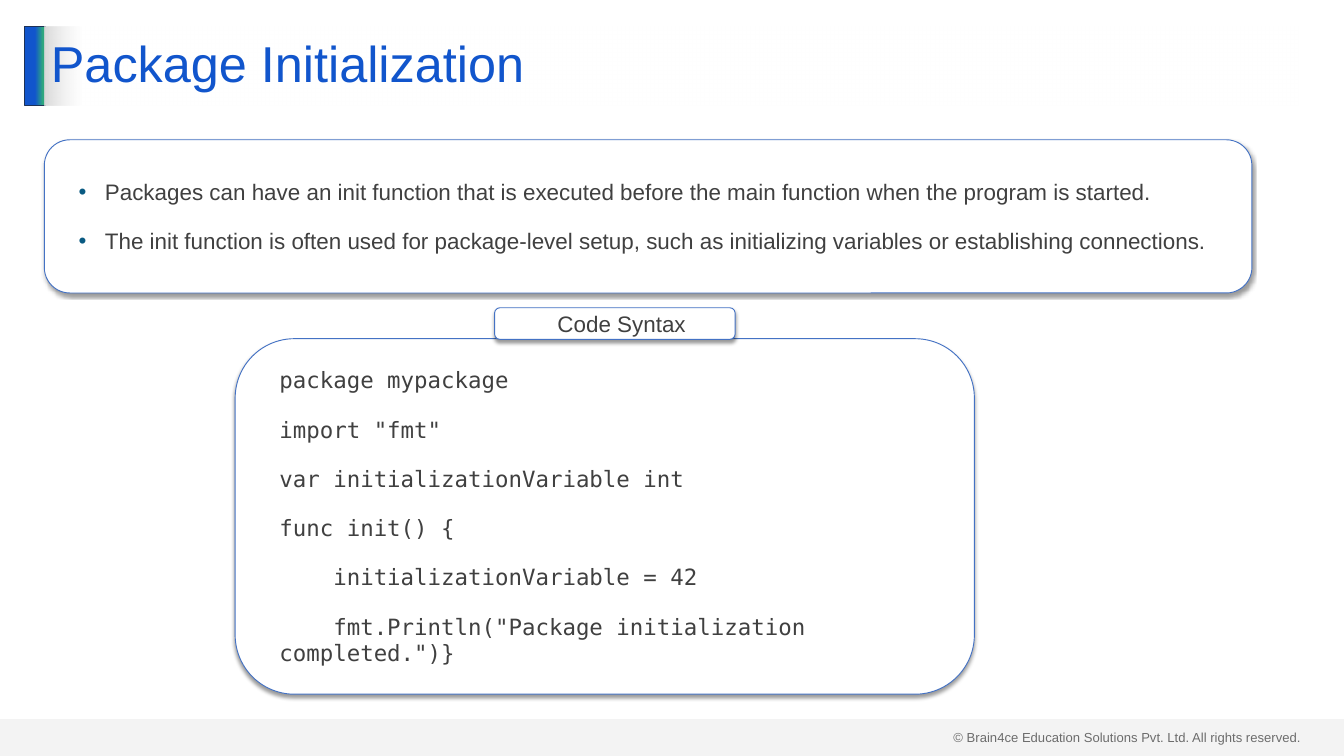
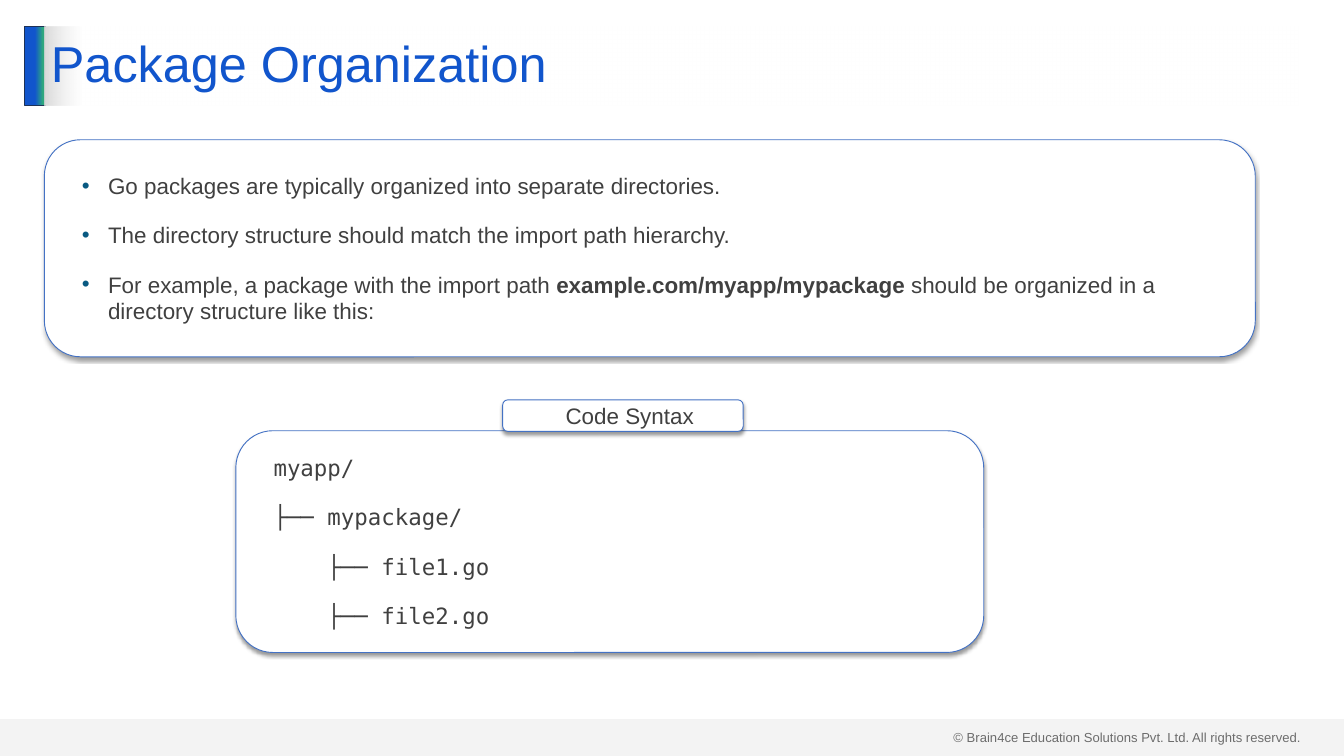
"""Build two slides on package initialization and organization in Go."""
from dataclasses import dataclass

from lxml.etree import SubElement
from pptx import Presentation
from pptx.dml.color import RGBColor
from pptx.enum.shapes import MSO_SHAPE
from pptx.enum.text import MSO_ANCHOR, PP_ALIGN
from pptx.oxml.ns import qn
from pptx.util import Emu, Pt

SLIDES = [
    {
        "title": "Package Initialization",
        "points": [
            ["Packages can have an init function that is executed before the main "
             "function when the program is started."],
            ["The init function is often used for package-level setup, such as "
             "initializing variables or establishing connections."],
        ],
        "points_size": (1797, 228),
        "code": [
            "package mypackage",
            'import "fmt"',
            "var initializationVariable int",
            "func init() {",
            "    initializationVariable = 42",
            '    fmt.Println("Package initialization completed.")}',
        ],
        "code_box": (350, 504, 1100, 529),
        "tab_left": 736,
    },
    {
        "title": "Package Organization",
        "points": [
            ["Go packages are typically organized into separate directories."],
            ["The directory structure should match the import path hierarchy."],
            ["For example, a package with the import path ",
             "example.com/myapp/mypackage",
             " should be organized in a directory structure like this:"],
        ],
        "points_size": (1802, 323),
        "code": [
            "myapp/",
            "├── mypackage/",
            "    ├── file1.go",
            "    ├── file2.go",
        ],
        "code_box": (351, 641, 1113, 330),
        "tab_left": 748,
    },
]
CODE_LABEL = "Code Syntax"
COPYRIGHT = "© Brain4ce Education Solutions Pvt. Ltd. All rights reserved."


@dataclass(frozen=True)
class Theme:
    """Colours, fonts and type sizes."""
    title: str = "1155CC"
    accent: str = "2EA87D"
    accent_edge: str = "1E3256"
    gray: str = "D9D9D9"
    paper: str = "FFFFFF"
    text: str = "404040"
    panel_edge: str = "4472C4"
    bullet: str = "095A82"
    shadow: str = "000000"
    sans: str = "Arial"
    mono: str = "DejaVu Sans Mono"
    title_size: int = 54
    body_size: int = 24
    footer_size: int = 14


THEME = Theme()
PX = 9144
WIDTH, HEIGHT = 2000, 1125
MARGIN, TITLE_TOP, TITLE_HEIGHT = 66, 39, 118
POINTS_TOP = 208
TAB_WIDTH, TAB_HEIGHT = 358, 47
BAND_HEIGHT = 55


def px(length):
    """Turn px into EMU."""
    return Emu(length * PX)


def add_color(parent, color, opacity=100):
    """Add an RGB colour element with an opacity in percent."""
    rgb = SubElement(parent, qn("a:srgbClr"), val=color)
    if opacity < 100:
        SubElement(rgb, qn("a:alpha"), val=str(opacity * 1000))


def add_block(slide, box, fill=None, edge=None, preset=MSO_SHAPE.RECTANGLE):
    """Add a flat shape with an optional solid fill and edge."""
    block = slide.shapes.add_shape(preset, *map(px, box))
    block.shadow.inherit = False
    if fill:
        block.fill.solid()
        block.fill.fore_color.rgb = RGBColor.from_string(fill)
    else:
        block.fill.background()
    if edge:
        block.line.color.rgb = RGBColor.from_string(edge)
        block.line.width = Pt(1)
    else:
        block.line.fill.background()
    return block


def set_gradient(block, stops):
    """Swap the empty fill for a left-to-right gradient."""
    properties = block.fill._xPr
    empty = properties.find(qn("a:noFill"))
    gradient = SubElement(properties, qn("a:gradFill"), rotWithShape="1")
    stop_list = SubElement(gradient, qn("a:gsLst"))
    for position, color, opacity in stops:
        stop = SubElement(stop_list, qn("a:gs"), pos=str(position * 1000))
        add_color(stop, color, opacity)
    SubElement(gradient, qn("a:lin"), ang="0", scaled="0")
    properties.replace(empty, gradient)


def style_runs(paragraph, size, color, font):
    """Give every run of a paragraph one type style."""
    for run in paragraph.runs:
        run.font.size = Pt(size)
        run.font.name = font
        run.font.color.rgb = RGBColor.from_string(color)


def add_panel(slide, box, lines, font=THEME.sans, align=PP_ALIGN.LEFT, bulleted=False):
    """Add a rounded, shadowed panel; every second run of a line is bold."""
    panel = add_block(slide, box, THEME.paper, THEME.panel_edge,
                      MSO_SHAPE.ROUNDED_RECTANGLE)
    effects = panel.fill._xPr.find(qn("a:effectLst"))
    shadow = SubElement(effects, qn("a:outerShdw"), blurRad=str(Pt(4)),
                        dist=str(Pt(3)), dir="5400000", rotWithShape="0")
    add_color(shadow, THEME.shadow, 40)

    frame = panel.text_frame
    frame.word_wrap = True
    frame.vertical_anchor = MSO_ANCHOR.MIDDLE
    frame.margin_left = frame.margin_right = px(20)
    frame.margin_top = frame.margin_bottom = px(10)
    for index, pieces in enumerate(lines):
        paragraph = frame.add_paragraph() if index else frame.paragraphs[0]
        paragraph.level = 1
        paragraph.alignment = align
        layout = paragraph._p.get_or_add_pPr()
        layout.set("marL", str(px(59 if bulleted else 20)))
        layout.set("indent", str(px(-39 if bulleted else 0)))
        if bulleted:
            add_color(SubElement(layout, qn("a:buClr")), THEME.bullet)
            SubElement(layout, qn("a:buFont"), typeface=THEME.sans)
            SubElement(layout, qn("a:buChar"), char="•")
        paragraph.space_before = Pt(12 if index else 0)
        paragraph.space_after = Pt(12 if index < len(lines) - 1 else 0)
        for place, piece in enumerate(pieces):
            run = paragraph.add_run()
            run.text = piece
            run.font.bold = place % 2 == 1
        style_runs(paragraph, THEME.body_size, THEME.text, font)


def add_frame(slide, title):
    """Add the footer, accent bar and title that all slides share."""
    footer = slide.shapes.add_textbox(*map(px, (1409, 1080, 541, 34))).text_frame
    footer.word_wrap = True
    footer.text = COPYRIGHT
    style_runs(footer.paragraphs[0], THEME.footer_size, THEME.text, THEME.sans)

    accent = add_block(slide, (37, TITLE_TOP, 30, TITLE_HEIGHT), edge=THEME.accent_edge)
    set_gradient(accent, [(51, THEME.title, 100), (90, THEME.accent, 100),
                          (100, THEME.accent, 100)])

    band = add_block(slide, (0, HEIGHT - BAND_HEIGHT, WIDTH, BAND_HEIGHT), THEME.gray)
    band_color = band.fill._xPr.find(qn("a:solidFill")).find(qn("a:srgbClr"))
    SubElement(band_color, qn("a:alpha"), val="29000")

    heading = add_block(slide, (MARGIN, TITLE_TOP, 1867, TITLE_HEIGHT))
    set_gradient(heading, [(0, THEME.gray, 100), (3, THEME.paper, 50),
                           (100, THEME.paper, 50)])
    frame = heading.text_frame
    frame.word_wrap = True
    frame.vertical_anchor = MSO_ANCHOR.MIDDLE
    frame.text = title
    paragraph = frame.paragraphs[0]
    paragraph.alignment = PP_ALIGN.LEFT
    paragraph.line_spacing = 0.9
    style_runs(paragraph, THEME.title_size, THEME.title, THEME.sans)


def main():
    """Build and save the presentation."""
    deck = Presentation()
    deck.slide_width, deck.slide_height = px(WIDTH), px(HEIGHT)
    for content in SLIDES:
        slide = deck.slides.add_slide(deck.slide_layouts[6])
        add_frame(slide, content["title"])
        code_box = content["code_box"]
        add_panel(slide, code_box, [[line] for line in content["code"]], THEME.mono)
        tab_top = code_box[1] - TAB_HEIGHT + 1
        add_panel(slide, (content["tab_left"], tab_top, TAB_WIDTH, TAB_HEIGHT),
                  [[CODE_LABEL]], align=PP_ALIGN.CENTER)
        add_panel(slide, (MARGIN, POINTS_TOP, *content["points_size"]),
                  content["points"], bulleted=True)
    deck.save("out.pptx")


if __name__ == "__main__":
    main()
